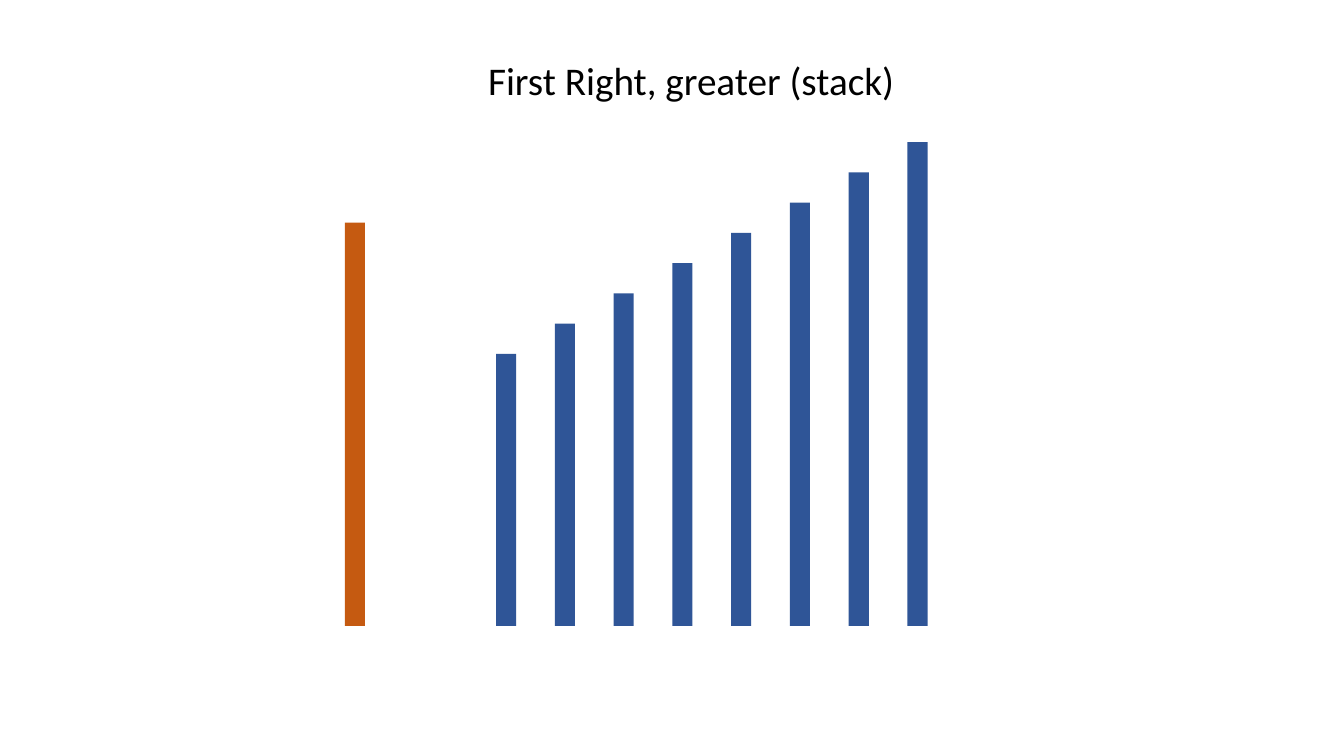
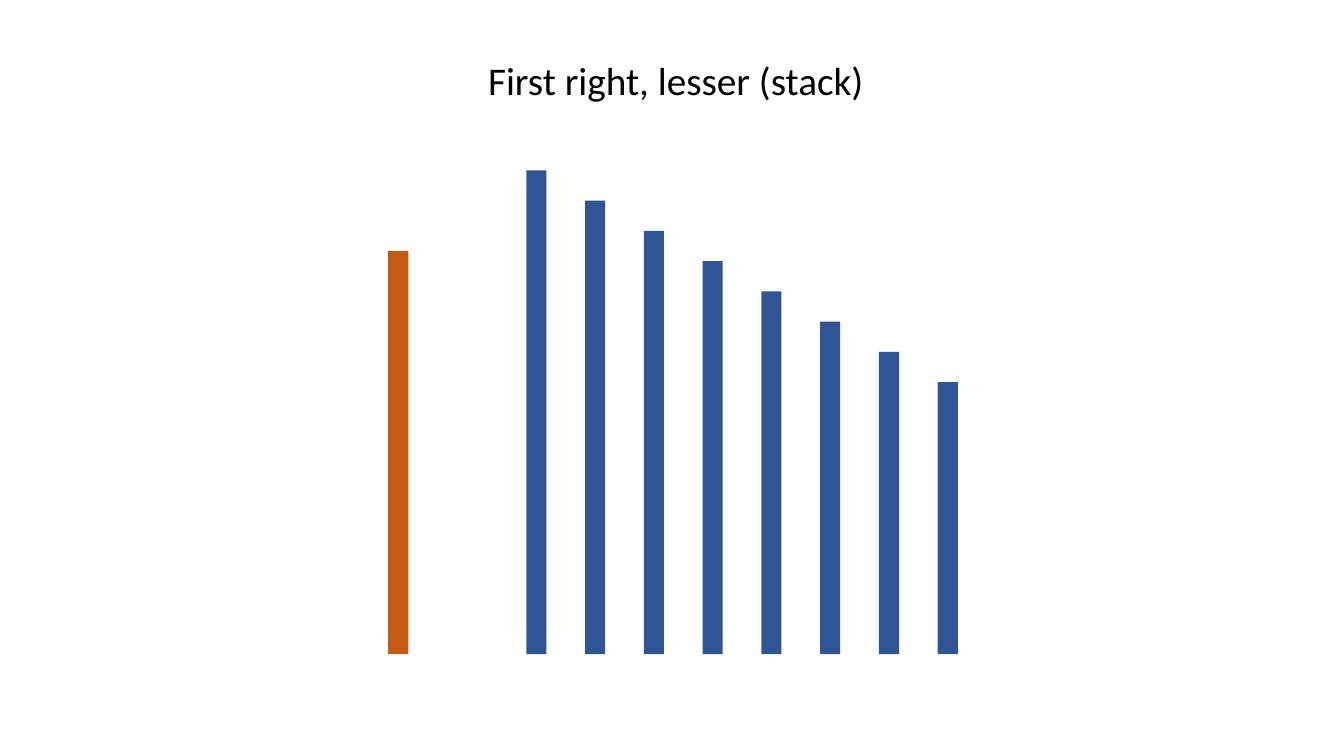
from pptx import Presentation
from pptx.dml.color import RGBColor
from pptx.enum.shapes import MSO_SHAPE as Shape
from pptx.enum.text import MSO_ANCHOR as Anchor, MSO_AUTO_SIZE as Fit, PP_ALIGN as Align
from pptx.util import Inches, Pt

BLUE = RGBColor(0x2F, 0x55, 0x97)
ORANGE = RGBColor(0xC5, 0x5A, 0x11)
BLACK = RGBColor(0, 0, 0)
FONT = "Calibri"
WIDE = 0.2
COUNT = 8
STEP = 4.08 / (COUNT - 1)
LOW, RISE = 2.7, 0.3
PIVOT = 4

deck = Presentation()
deck.slide_width, deck.slide_height = Inches(13.33), Inches(7.5)
layout = deck.slide_layouts[5]


def write(box, text, size=28, color=BLACK, align=Align.LEFT):
    frame = box.text_frame
    frame.text = text
    frame.word_wrap = False
    frame.auto_size = Fit.NONE
    frame.vertical_anchor = Anchor.TOP
    line = frame.paragraphs[0]
    line.alignment = align
    font = line.runs[0].font
    font.name, font.size, font.color.rgb = FONT, Pt(size), color


def draw_bar(slide, left, base, tall, color):
    bar = slide.shapes.add_shape(Shape.RECTANGLE, Inches(left), Inches(base - tall),
                                 Inches(WIDE), Inches(tall))
    bar.shadow.inherit = False
    bar.fill.solid()
    bar.fill.fore_color.rgb = color
    bar.line.fill.background()


rising = [LOW + RISE * i for i in range(COUNT)]
views = [
    ("First Right, greater (stack)", 4.27, 3.42, 4.92, 6.21, rising),
    ("First right, lesser (stack)", 4.06, 3.85, 5.22, 6.49, rising[::-1]),
]

for text, width, pivot, start, base, talls in views:
    slide = deck.slides.add_slide(layout)
    title = slide.shapes.title
    title.left, title.top = Inches(4.74), Inches(0.51)
    title.width, title.height = Inches(width), Inches(0.57)
    write(title, text)
    for i, tall in enumerate(talls):
        draw_bar(slide, start + i * STEP, base, tall, BLUE)
    draw_bar(slide, pivot, base, PIVOT, ORANGE)

deck.save("out.pptx")
